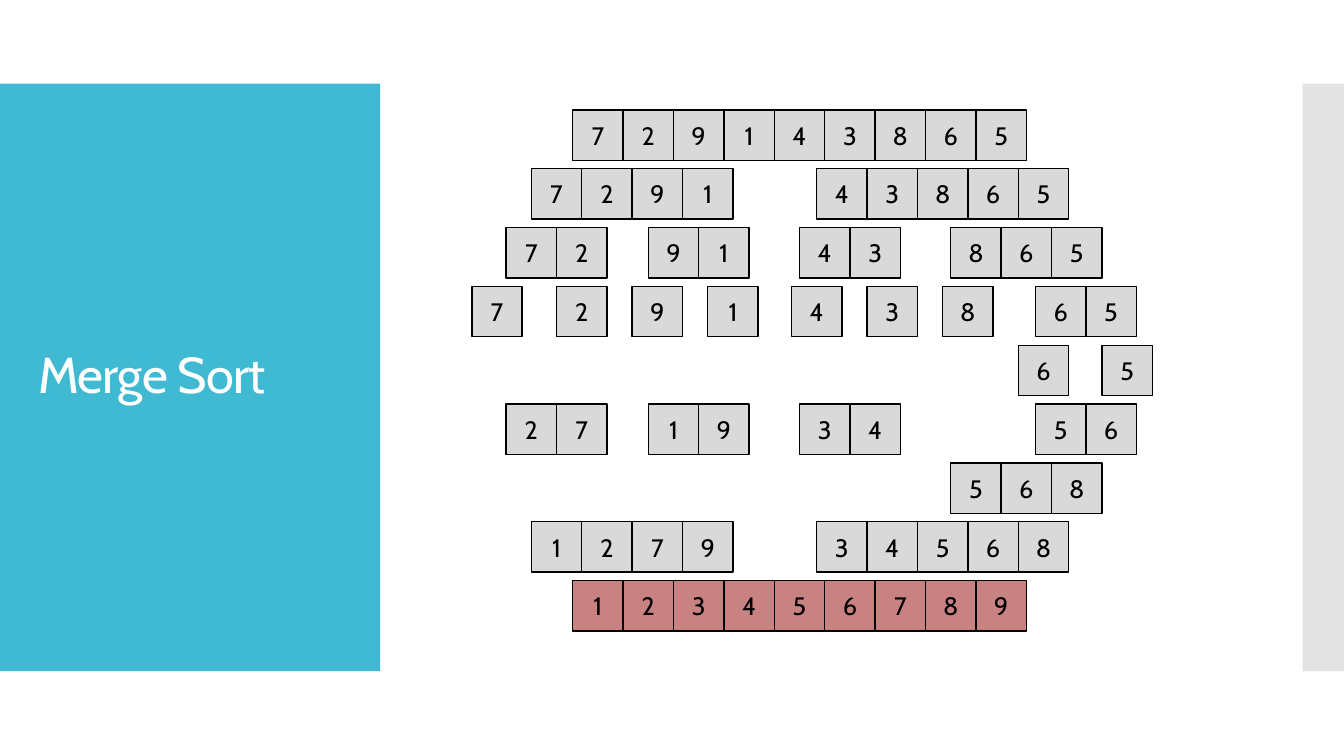
from pptx import Presentation
from pptx.dml.color import RGBColor
from pptx.enum.shapes import MSO_SHAPE as Shape
from pptx.enum.text import MSO_ANCHOR as Anchor, PP_ALIGN as Align
from pptx.oxml.ns import qn
from pptx.util import Inches, Pt
from lxml import etree

FONT = "Cabin"
CELL = 0.5
ROW_PITCH = 4.67 / 8
GREY, RED = "D9D9D9", "C88282"

# Each level lists its runs: (offset from the left of the diagram, digits)
LEVELS = [
    [(1, "729143865")],
    [(0.59, "7291"), (3.42, "43865")],
    [(0.34, "72"), (1.75, "91"), (3.25, "43"), (4.75, "865")],
    [(0, "7"), (0.84, "2"), (1.59, "9"), (2.34, "1"),
     (3.17, "4"), (3.92, "3"), (4.67, "8"), (5.59, "65")],
    [(5.42, "6"), (6.25, "5")],
    [(0.34, "27"), (1.75, "19"), (3.25, "34"), (5.59, "56")],
    [(4.75, "568")],
    [(0.59, "1279"), (3.42, "34568")],
    [(1, "123456789")],
]


def color(value):
    return RGBColor.from_string(value)


def set_font(font, size, value):
    for name, setting in {"name": FONT, "size": Pt(size)}.items():
        setattr(font, name, setting)
    font.color.rgb = color(value)


def add_rectangle(shapes, left, top, width, height, fill):
    shape = shapes.add_shape(Shape.RECTANGLE, *map(Inches, (left, top, width, height)))
    shape.shadow.inherit = False
    shape.fill.solid()
    shape.fill.fore_color.rgb = color(fill)
    shape.line.fill.background()
    return shape


def add_title_panel(slide, left, top, width, height):
    title = slide.shapes.title
    panel = add_rectangle(slide.shapes, left, top, width, height, "40BAD2")
    title.element.addprevious(panel.element)  # panel goes behind the title
    box = {"left": left + 0.28, "top": top + 0.4, "width": 3.22, "height": height - 0.8}
    for name, value in box.items():
        setattr(title, name, Inches(value))
    frame = title.text_frame
    frame.text = "Merge Sort"
    frame.word_wrap = True
    frame.vertical_anchor = Anchor.MIDDLE
    paragraph = frame.paragraphs[0]
    paragraph.alignment = Align.LEFT
    paragraph.line_spacing = 0.9
    run = paragraph.runs[0]
    set_font(run.font, 36, "FFFFFF")
    run.font._element.set("spc", "-60")


def add_side_strip(slide, left, top, width, height):
    strip = add_rectangle(slide.shapes, left, top, width, height, "C8C8C8")
    fill_color = next(strip.element.iter(qn("a:srgbClr")))
    etree.SubElement(fill_color, qn("a:alpha"), val="50000")


def add_cell(shapes, left, top, digit, fill):
    cell = add_rectangle(shapes, left, top, CELL, CELL, fill)
    cell.line.color.rgb = color("000000")
    cell.line.width = Pt(1)
    frame = cell.text_frame
    frame.text = digit
    frame.vertical_anchor = Anchor.MIDDLE
    paragraph = frame.paragraphs[0]
    paragraph.alignment = Align.CENTER
    set_font(paragraph.runs[0].font, 18, "000000")


def add_merge_diagram(slide, left, top):
    for row, runs in enumerate(LEVELS):
        fill = RED if row == len(LEVELS) - 1 else GREY
        for offset, digits in runs:
            # The complete arrays are grouped
            whole = len(digits) == 9
            shapes = slide.shapes.add_group_shape().shapes if whole else slide.shapes
            for column, digit in enumerate(digits):
                add_cell(shapes, left + offset + column * CELL,
                         top + row * ROW_PITCH, digit, fill)


def main():
    presentation = Presentation()
    presentation.slide_width = Inches(13.33)
    presentation.slide_height = Inches(7.5)
    slide = presentation.slides.add_slide(presentation.slide_layouts[5])
    add_title_panel(slide, 0, 0.83, 3.77, 5.83)
    add_side_strip(slide, 12.92, 0.83, 0.41, 5.83)
    add_merge_diagram(slide, 4.68, 1.09)
    presentation.save("out.pptx")


if __name__ == "__main__":
    main()
